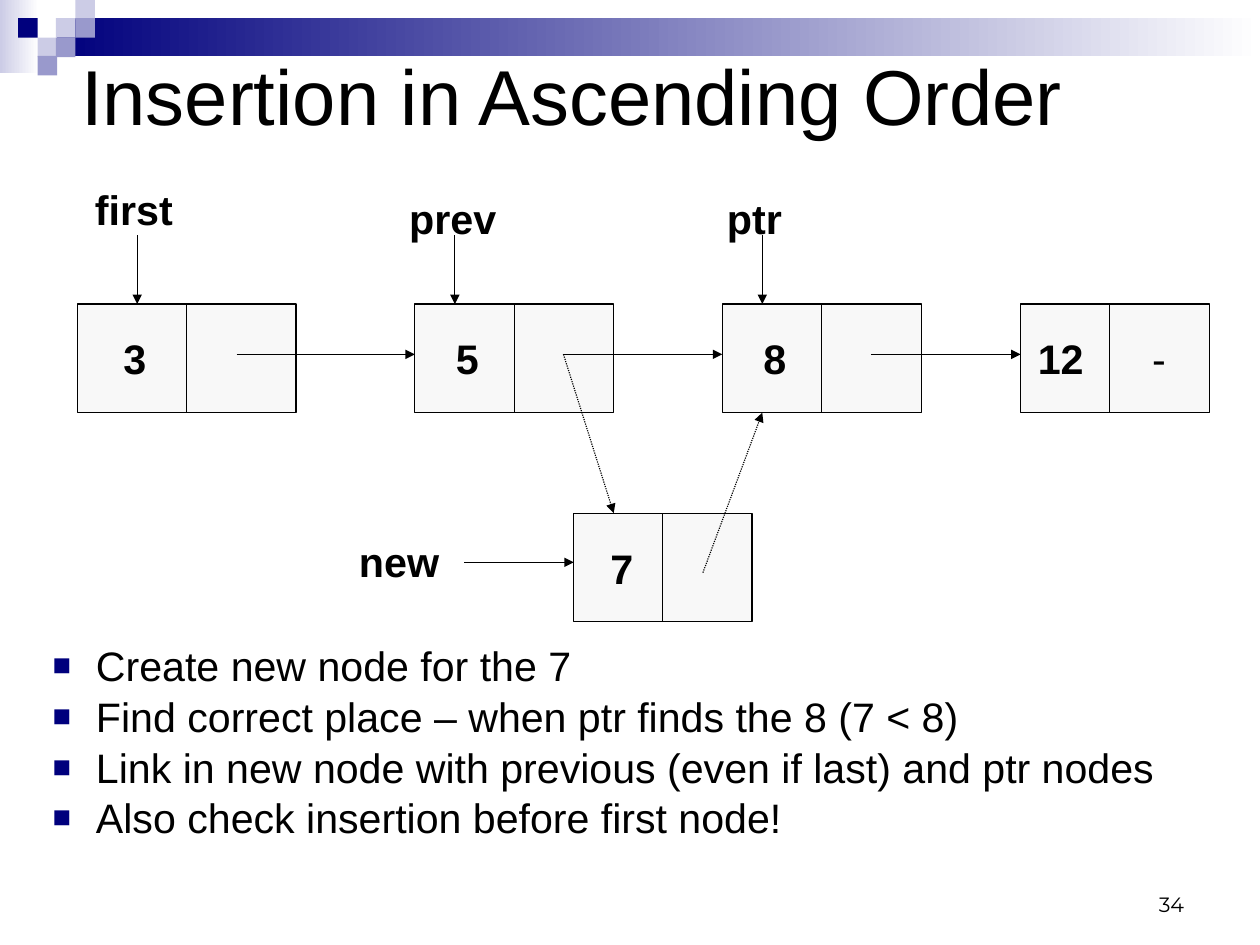
"""Build a slide on inserting a node into an ascending linked list."""
from dataclasses import dataclass
from typing import Optional

from lxml import etree
from pptx import Presentation
from pptx.dml.color import RGBColor
from pptx.enum.dml import MSO_LINE
from pptx.enum.shapes import MSO_CONNECTOR, MSO_SHAPE
from pptx.enum.text import MSO_ANCHOR, MSO_AUTO_SIZE, PP_ALIGN
from pptx.oxml.ns import qn
from pptx.util import Inches, Pt

STRAIGHT, RECTANGLE = MSO_CONNECTOR.STRAIGHT, MSO_SHAPE.RECTANGLE
DOTTED, FIXED_SIZE = MSO_LINE.ROUND_DOT, MSO_AUTO_SIZE.NONE
TOP, MIDDLE, BOTTOM = MSO_ANCHOR.TOP, MSO_ANCHOR.MIDDLE, MSO_ANCHOR.BOTTOM
LEFT, RIGHT = PP_ALIGN.LEFT, PP_ALIGN.RIGHT


@dataclass(frozen=True)
class Theme:
    """Colours, fonts and type sizes of the slide."""
    navy: str = "00007D"
    lavender: str = "CCCCE6"
    violet: str = "9999CC"
    white: str = "FFFFFF"
    ink: str = "000000"
    node_fill: str = "F8F8F8"
    font: str = "Arial"
    number_font: str = "Montserrat"
    title_size: float = 49
    body_size: float = 25.9
    label_size: float = 26
    number_size: float = 13
    line_width: float = 0.75


@dataclass(frozen=True)
class Tile:
    """A rectangle of the header, fading to end_colour if one is given."""
    left: float
    top: float
    width: float
    height: float
    colour: str
    end_colour: Optional[str] = None


@dataclass(frozen=True)
class Node:
    """A list node: outline, divider position, text inset and cell texts."""
    left: float
    top: float
    width: float
    divider: float
    inset: float
    value: str
    pointer: str = ""


@dataclass(frozen=True)
class Link:
    """A line between two points."""
    x1: float
    y1: float
    x2: float
    y2: float
    dotted: bool = False


@dataclass(frozen=True)
class Label:
    """A pointer name."""
    text: str
    left: float
    top: float
    width: float


THEME = Theme()
NODE_HEIGHT, ROW, NEW_ROW = 0.95, 2.66, 4.49
ROW_BOTTOM, LINK_Y, POINTER_Y = ROW + NODE_HEIGHT, 3.1, 2.06
DASH_TAB = 1.0
EDGES, TILE_SIZE = (0, 0.16, 0.33, 0.49, 0.66), 0.17

TILES = [
    Tile(0, 0, 0.34, 0.64, THEME.lavender, THEME.white),
    Tile(0.5, 0.16, 10.53, 0.33, THEME.navy, THEME.white),
] + [
    Tile(EDGES[column], EDGES[row], TILE_SIZE, TILE_SIZE, colour)
    for column, row, colour in (
        (3, 1, THEME.lavender), (4, 0, THEME.lavender), (4, 1, THEME.violet),
        (2, 2, THEME.lavender), (1, 1, THEME.navy), (3, 2, THEME.violet),
        (2, 3, THEME.violet))
]
NODES = [
    Node(0.68, ROW, 1.91, 1.63, 0.4, "3"),
    Node(3.63, ROW, 1.74, 4.5, 0.36, "5"),
    Node(6.32, ROW, 1.74, 7.19, 0.36, "8"),
    Node(8.93, ROW, 1.65, 9.71, 0.15, "12", "-"),
    Node(5.02, NEW_ROW, 1.56, 5.8, 0.32, "7"),
]
LINKS = [
    Link(2.07, LINK_Y, 3.63, LINK_Y),
    Link(4.93, LINK_Y, 6.32, LINK_Y),
    Link(7.62, LINK_Y, 8.93, LINK_Y),
    Link(4.93, LINK_Y, 5.37, NEW_ROW, True),
    Link(6.15, 5.01, 6.67, ROW_BOTTOM, True),
    Link(4.06, 4.92, 5.02, 4.92),
] + [Link(x, POINTER_Y, x, ROW) for x in (1.2, 3.98, 6.67)]
LABELS = [
    Label("new", 3.03, 4.63, 0.92),
    Label("first", 0.72, 1.55, 0.9),
    Label("prev", 3.47, 1.63, 0.99),
    Label("ptr", 6.25, 1.63, 0.7),
]
STEPS = [
    "Create new node for the 7",
    "Find correct place – when ptr finds the 8 (7 < 8)",
    "Link in new node with previous (even if last) and ptr nodes",
    "Also check insertion before first node!",
]


def rgb(colour: str) -> RGBColor:
    """Return a colour object for a hex value."""
    return RGBColor.from_string(colour)


def place(shape, left: float, top: float, width: float, height: float) -> None:
    """Move and size a shape in inches."""
    shape.left, shape.top = Inches(left), Inches(top)
    shape.width, shape.height = Inches(width), Inches(height)


def format_span(span, size: float, bold: bool, font: str = THEME.font) -> None:
    """Set the font of one run."""
    span.font.name, span.font.size, span.font.bold = font, Pt(size), bold
    span.font.color.rgb = rgb(THEME.ink)


def set_text(shape, text: str, size: float, anchor=TOP, align=LEFT, bold: bool = False,
             font: str = THEME.font, inset: float = 0.11, wrap: bool = True) -> None:
    """Write text into a shape and format every run."""
    frame = shape.text_frame
    frame.text = text
    frame.auto_size, frame.word_wrap, frame.vertical_anchor = FIXED_SIZE, wrap, anchor
    frame.margin_left, frame.margin_right = Inches(inset), Inches(0.11)
    frame.margin_top = frame.margin_bottom = Inches(0.06)
    for para in frame.paragraphs:
        para.alignment = align
        for span in para.runs:
            format_span(span, size, bold, font)


def add_bullet(para) -> None:
    """Give a paragraph a hanging square bullet."""
    props = para._p.get_or_add_pPr()
    props.set("marL", str(Inches(0.38)))
    props.set("indent", str(-Inches(0.38)))
    colour = etree.SubElement(props, qn("a:buClr"))
    etree.SubElement(colour, qn("a:srgbClr"), val=THEME.navy)
    etree.SubElement(props, qn("a:buSzPct"), val="75000")
    etree.SubElement(props, qn("a:buFont"), typeface=THEME.font)
    etree.SubElement(props, qn("a:buChar"), char="■")


def add_tile(page, tile: Tile) -> None:
    """Draw one header rectangle."""
    shape = page.shapes.add_shape(RECTANGLE, 0, 0, 0, 0)
    place(shape, tile.left, tile.top, tile.width, tile.height)
    shape.shadow.inherit = False
    shape.line.fill.background()
    if tile.end_colour:
        shape.fill.gradient()
        shape.fill.gradient_angle = 0
        for stop, colour in zip(shape.fill.gradient_stops, (tile.colour, tile.end_colour)):
            stop.color.rgb = rgb(colour)
    else:
        shape.fill.solid()
        shape.fill.fore_color.rgb = rgb(tile.colour)


def add_line(page, link: Link, arrow: bool = True) -> None:
    """Draw a line, with an arrowhead at its end unless told otherwise."""
    line = page.shapes.add_connector(
        STRAIGHT, Inches(link.x1), Inches(link.y1), Inches(link.x2), Inches(link.y2))
    line.line.color.rgb = rgb(THEME.ink)
    line.line.width = Pt(THEME.line_width)
    if link.dotted:
        line.line.dash_style = DOTTED
    if arrow:
        etree.SubElement(line.line._get_or_add_ln(), qn("a:tailEnd"), type="triangle")
    etree.SubElement(line._element.spPr, qn("a:effectLst"))


def add_node(page, node: Node) -> None:
    """Draw a two-cell list node."""
    box = page.shapes.add_shape(RECTANGLE, 0, 0, 0, 0)
    place(box, node.left, node.top, node.width, NODE_HEIGHT)
    box.shadow.inherit = False
    box.fill.solid()
    box.fill.fore_color.rgb = rgb(THEME.node_fill)
    box.line.color.rgb = rgb(THEME.ink)
    box.line.width = Pt(THEME.line_width)
    set_text(box, node.value, THEME.label_size, MIDDLE, bold=True, inset=node.inset)
    if node.pointer:
        para = box.text_frame.paragraphs[0]
        tabs = etree.SubElement(para._p.get_or_add_pPr(), qn("a:tabLst"))
        etree.SubElement(tabs, qn("a:tab"), pos=str(Inches(DASH_TAB)), algn="l")
        span = para.add_run()
        span.text = "\t" + node.pointer
        format_span(span, THEME.label_size, False)
    add_line(page, Link(node.divider, node.top, node.divider, node.top + NODE_HEIGHT), False)


def main() -> None:
    """Build and save the deck."""
    deck = Presentation()
    deck.slide_width, deck.slide_height = Pt(793.75), Pt(595.25)
    page = deck.slides.add_slide(deck.slide_layouts[1])
    for tile in TILES:
        add_tile(page, tile)
    title, body = page.shapes.title, page.placeholders[1]
    place(title, 0.6, 0, 9.92, 1.65)
    set_text(title, "Insertion in Ascending Order", THEME.title_size, MIDDLE)
    place(body, 0.35, 5.63, 10.42, 1.95)
    set_text(body, "\n".join(STEPS), THEME.body_size)
    for index, para in enumerate(body.text_frame.paragraphs):
        para.line_spacing = 0.8
        para.space_before = Pt(7 if index else 0)
        add_bullet(para)
    for node in NODES:
        add_node(page, node)
    for link in LINKS:
        add_line(page, link)
    for label in LABELS:
        box = page.shapes.add_textbox(0, 0, 0, 0)
        place(box, label.left, label.top, label.width, 0.54)
        set_text(box, label.text, THEME.label_size, bold=True, wrap=False)
    number = page.shapes.add_textbox(0, 0, 0, 0)
    place(number, 7.9, 7.53, 2.57, 0.55)
    set_text(number, "34", THEME.number_size, BOTTOM, RIGHT, font=THEME.number_font)
    deck.save("out.pptx")


if __name__ == "__main__":
    main()
